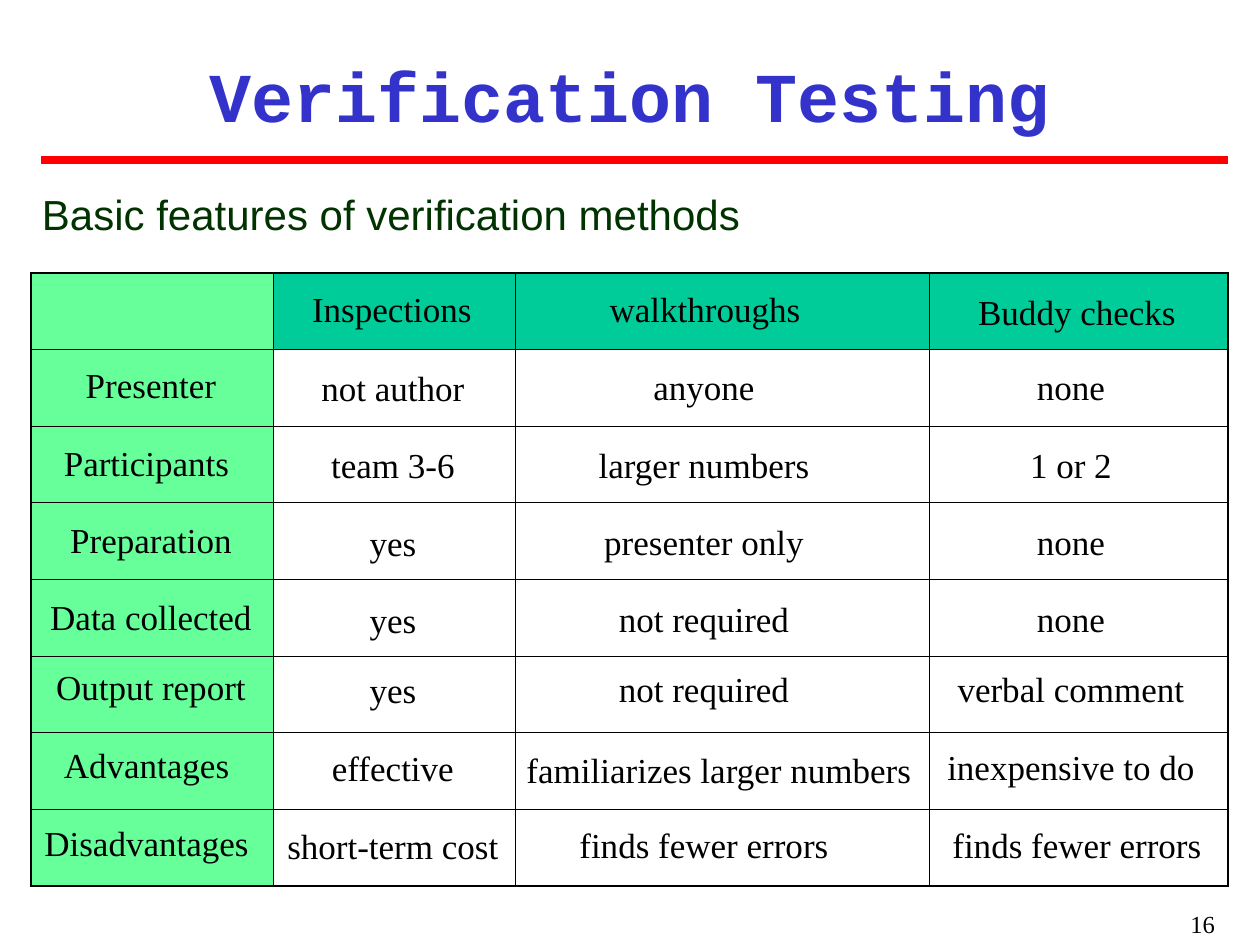
from lxml.etree import SubElement
from pptx import Presentation
from pptx.dml.color import RGBColor
from pptx.enum.shapes import MSO_CONNECTOR as Connector
from pptx.enum.text import MSO_ANCHOR as Anchor, MSO_AUTO_SIZE as AutoSize, PP_ALIGN as Align
from pptx.oxml.ns import qn
from pptx.util import Emu, Pt

PX_PER_INCH = 126
BLANK_LAYOUT = 6


class Theme:
    title = dict(name="Courier New", size=Pt(40), bold=True, color="3333CC")
    subtitle = dict(name="Arial", size=Pt(24), color="003300")
    label = dict(name="Times New Roman", size=Pt(20), color="000000")
    page_number = dict(name="Times New Roman", size=Pt(14), color="000000")
    rule, rule_width = "FF0000", Pt(4.5)
    header_fill, side_fill = "00CC99", "66FF99"
    border, inner_width, outer_width = "000000", Pt(0.45), Pt(1.08)


ROWS = [
    ["", "Inspections", "walkthroughs", "Buddy checks"],
    ["Presenter", "not author", "anyone", "none"],
    ["Participants ", "team 3-6", "larger numbers", "1 or 2"],
    ["Preparation", "yes", "presenter only", "none"],
    ["Data collected", "yes", "not required", "none"],
    ["Output report", "yes", "not required", "verbal comment"],
    ["Advantages ", "effective", "familiarizes larger numbers", "inexpensive to do"],
    ["Disadvantages ", "short-term cost", "finds fewer errors", "finds fewer errors"],
]
COLUMN_WIDTHS = [242, 242, 414, 299]

# Labels relative to the table's corner
LABEL_WIDTH, LABEL_HEIGHT = 252, 42
LABEL_LEFTS = [-6, 236, 547, 914]
LABEL_TOPS = [12, 90, 168, 245, 322, 392, 470, 548]
COLUMN_DROPS = [0, 3, 2, 2]
# (row, column): left, top, width of labels off the grid
SPECIAL_LABELS = {
    (0, 1): (235, 14, 252),
    (0, 2): (548, 14, 252),
    (0, 3): (920, 17, 252),
    (6, 2): (494, 475, 388),
    (7, 3): (910, 550, 272),
}


def px(length):
    return Emu(round(length * 914400 / PX_PER_INCH))


def set_attributes(target, values):
    for name, value in values.items():
        setattr(target, name, value)


def add_text(slide, box, text, style, align=Align.CENTER, space_before=0,
             margins=(0, 0), **frame_format):
    shape = slide.shapes.add_textbox(*map(px, box))
    frame = shape.text_frame
    side, end = map(px, margins)
    set_attributes(frame, dict(word_wrap=True, margin_left=side, margin_right=side,
                               margin_top=end, margin_bottom=end, **frame_format))
    paragraph = frame.paragraphs[0]
    set_attributes(paragraph, dict(alignment=align, space_before=Pt(space_before)))
    run = paragraph.add_run()
    run.text = text
    set_attributes(run.font, {key: value for key, value in style.items() if key != "color"})
    run.font.color.rgb = RGBColor.from_string(style["color"])


def add_heading(slide, box):
    left, top, width, height = box
    # Title
    add_text(slide, (left, top, width, 105), "Verification Testing", Theme.title,
             space_before=10, margins=(3, 6), vertical_anchor=Anchor.MIDDLE)
    # Rule below the title
    rule_y = px(top + 118)
    rule = slide.shapes.add_connector(Connector.STRAIGHT, px(left + 10), rule_y,
                                      px(left + width), rule_y)
    rule.line.color.rgb = RGBColor.from_string(Theme.rule)
    rule.line.width = Theme.rule_width
    SubElement(rule._element.spPr, qn("a:effectLst"))
    # Subtitle
    add_text(slide, (left + 11, top + height - 50, width - 28, 50),
             "Basic features of verification methods", Theme.subtitle,
             align=Align.JUSTIFY, space_before=15, auto_size=AutoSize.SHAPE_TO_FIT_TEXT)


def set_borders(cell, outer_sides):
    properties = cell._tc.get_or_add_tcPr()
    for index, side in enumerate("LRTB"):
        width = Theme.outer_width if side in outer_sides else Theme.inner_width
        line = SubElement(properties, qn(f"a:ln{side}"), w=str(int(width)))
        fill = SubElement(line, qn("a:solidFill"))
        SubElement(fill, qn("a:srgbClr"), val=Theme.border)
        properties.remove(line)
        properties.insert(index, line)


def add_grid(slide, box):
    table = slide.shapes.add_table(len(ROWS), len(COLUMN_WIDTHS), *map(px, box)).table
    set_attributes(table, dict(first_row=False, horz_banding=False))
    for column, width in zip(table.columns, COLUMN_WIDTHS):
        column.width = px(width)
    for row in table.rows:
        row.height = px(box[3] / len(ROWS))
    last_row, last_column = len(ROWS) - 1, len(COLUMN_WIDTHS) - 1
    for r in range(last_row + 1):
        for c in range(last_column + 1):
            cell = table.cell(r, c)
            color = Theme.side_fill if c == 0 else Theme.header_fill if r == 0 else None
            if color:
                cell.fill.solid()
                cell.fill.fore_color.rgb = RGBColor.from_string(color)
            else:
                cell.fill.background()
            edges = dict(L=c == 0, R=c == last_column, T=r == 0, B=r == last_row)
            set_borders(cell, [side for side, outer in edges.items() if outer])


def add_labels(slide, box):
    for r, row in enumerate(ROWS):
        for c, text in enumerate(row):
            if not text:
                continue
            regular = (LABEL_LEFTS[c], LABEL_TOPS[r] + COLUMN_DROPS[c], LABEL_WIDTH)
            left, top, width = SPECIAL_LABELS.get((r, c), regular)
            add_text(slide, (box[0] + left, box[1] + top, width, LABEL_HEIGHT), text,
                     Theme.label, space_before=12.5, auto_size=AutoSize.SHAPE_TO_FIT_TEXT)


def add_page_number(slide, box):
    add_text(slide, box, "16", Theme.page_number, align=Align.RIGHT, margins=(13, 6))


def main():
    presentation = Presentation()
    set_attributes(presentation, dict(slide_width=px(1260), slide_height=px(945)))
    slide = presentation.slides.add_slide(presentation.slide_layouts[BLANK_LAYOUT])
    table_box = (31, 273, sum(COLUMN_WIDTHS), 613)
    add_heading(slide, (31, 42, 1197, 197))
    add_grid(slide, table_box)
    add_labels(slide, table_box)
    add_page_number(slide, (966, 903, 262, 42))
    presentation.save("out.pptx")


if __name__ == "__main__":
    main()
